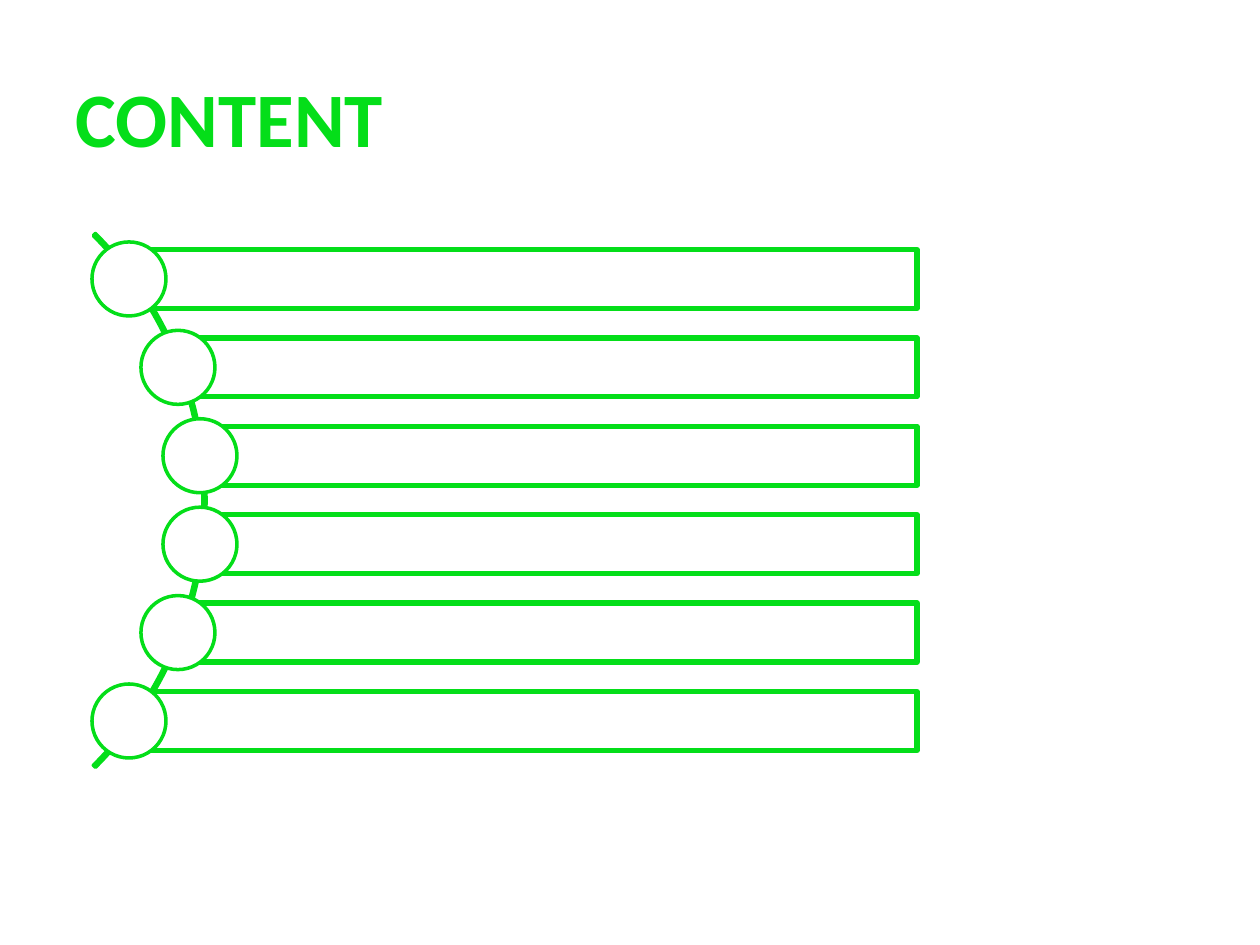
from dataclasses import dataclass

from pptx import Presentation
from pptx import util as u
from pptx.dml.color import RGBColor
from pptx.enum import shapes, text


@dataclass(frozen=True)
class Theme:
    green: RGBColor = RGBColor.from_string("04DE19")
    white: RGBColor = RGBColor.from_string("FFFFFF")
    font: str = "Calibri"
    title_size: int = 44
    thin: int = 2
    thick: int = 3


theme = Theme()


def px(length):
    return u.Emu(round(length * 914400 / 126))


def add_outlined(kind, left, top, width, height, weight):
    shape = page.shapes.add_shape(kind, px(left), px(top), px(width), px(height))
    shape.shadow.inherit = False
    shape.fill.solid()
    shape.fill.fore_color.rgb = theme.white
    shape.line.color.rgb = theme.green
    shape.line.width = u.Pt(weight)
    return shape


deck = Presentation()
deck.slide_width, deck.slide_height = px(1260), px(945)
page = deck.slides.add_slide(deck.slide_layouts[5])

title = page.shapes.title
title.left, title.top, title.width, title.height = px(63), px(38), px(1134), px(157)
title.text_frame.text = "CONTENT"
title.text_frame.vertical_anchor = text.MSO_ANCHOR.MIDDLE
para = title.text_frame.paragraphs[0]
para.alignment = text.PP_ALIGN.LEFT
span = para.runs[0]
span.font.name = theme.font
span.font.size = u.Pt(theme.title_size)
span.font.bold = True
span.font.color.rgb = theme.green

arc = add_outlined(shapes.MSO_SHAPE.BLOCK_ARC, -549, 123, 755, 755, theme.thin)
arc.fill.background()
for index, value in enumerate((189, 27, 0.004)):
    arc.adjustments[index] = value

bar_right, bar_height, circle_size = 917, 59, 74
first_center, last_center = 279, 721
center_xs = [129, 178, 200, 200, 178, 129]
step = (last_center - first_center) / (len(center_xs) - 1)

for row, center_x in enumerate(center_xs):
    center_y = first_center + row * step
    add_outlined(shapes.MSO_SHAPE.RECTANGLE, center_x, center_y - bar_height / 2,
                 bar_right - center_x, bar_height, theme.thick)
    add_outlined(shapes.MSO_SHAPE.OVAL, center_x - circle_size / 2,
                 center_y - circle_size / 2, circle_size, circle_size, theme.thin)

deck.save("out.pptx")
